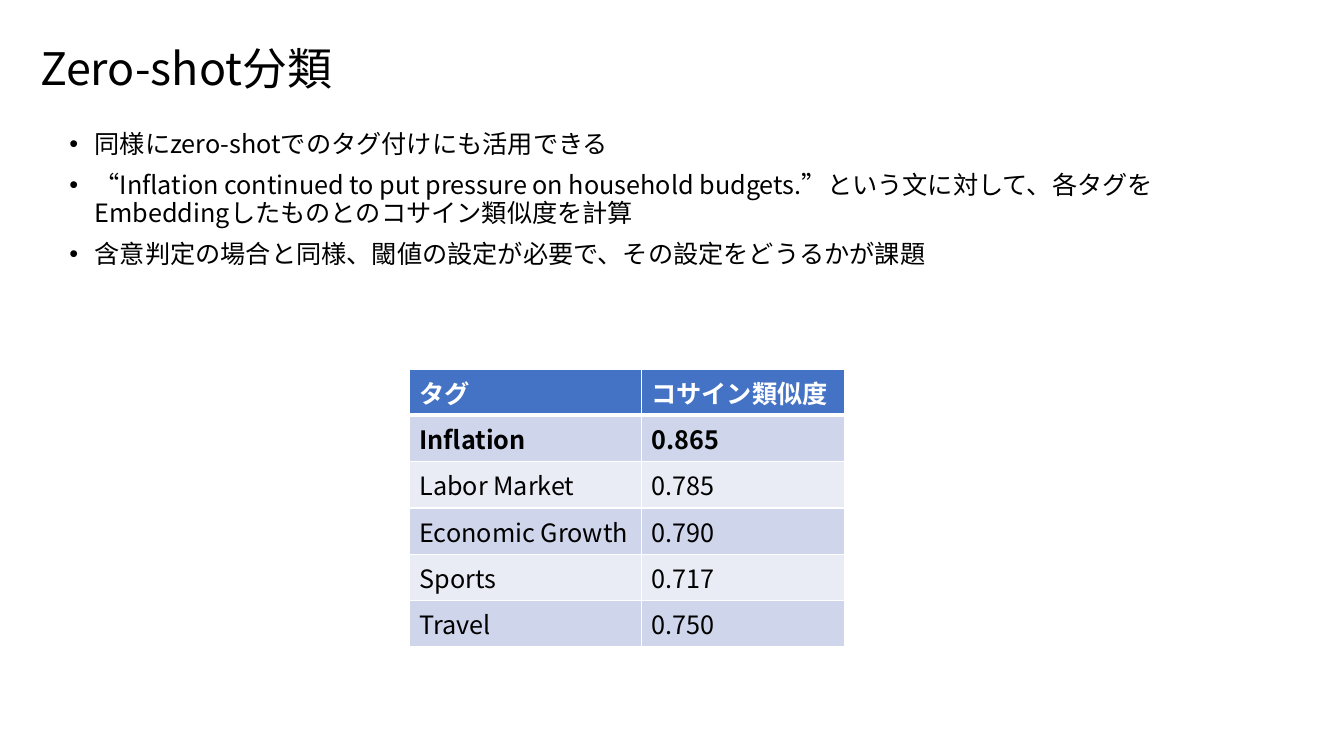
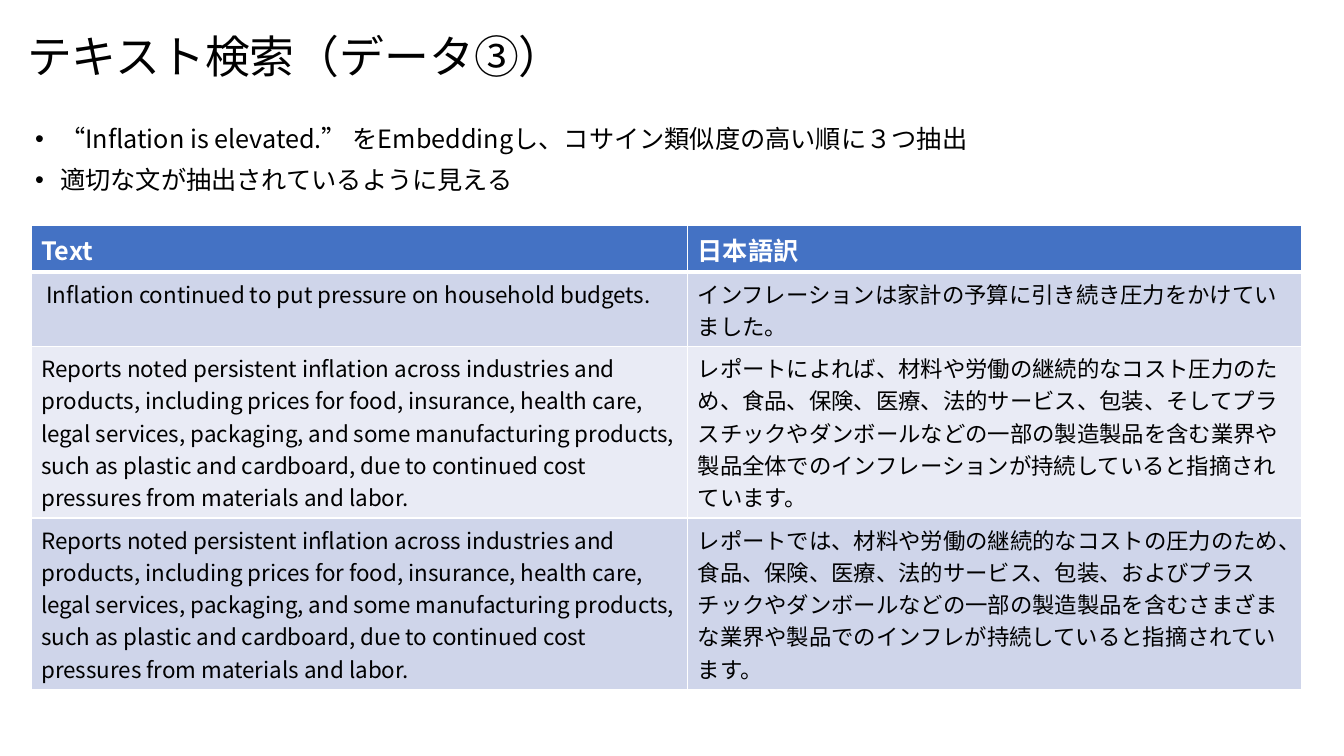
from dataclasses import dataclass
from itertools import groupby

from lxml import etree
from pptx import Presentation
from pptx.dml.color import RGBColor
from pptx.enum.text import MSO_ANCHOR
from pptx.oxml.ns import qn
from pptx.util import Emu, Pt

EMU_PER_PX = 9144
BLANK_LAYOUT = 6
MIDDLE = MSO_ANCHOR.MIDDLE
TOP = MSO_ANCHOR.TOP
QUOTES = "“”"


@dataclass(frozen=True)
class Theme:
    font: str = "Noto Sans CJK JP"
    bullet_font: str = "Arial"
    text: str = "000000"
    white: str = "FFFFFF"
    header: str = "4472C4"
    bands: tuple = ("CFD5EA", "E9EBF5")
    title_size: int = 32
    body_size: int = 18
    small_size: int = 16
    line_spacing: float = 0.9
    bullet_gap: int = 10
    bullet_indent: int = 25
    thin_border: int = 1
    thick_border: int = 3


THEME = Theme()
ROW_HEIGHT = 46

REPORT_TEXT = (
    "Reports noted persistent inflation across industries and products, "
    "including prices for food, insurance, health care, legal services, "
    "packaging, and some manufacturing products, such as plastic and "
    "cardboard, due to continued cost pressures from materials and labor."
)

SIMILARITY_ROWS = [
    ("タグ", "コサイン類似度"),
    ("Inflation", "0.865"),
    ("Labor Market", "0.785"),
    ("Economic Growth", "0.790"),
    ("Sports", "0.717"),
    ("Travel", "0.750"),
]

SEARCH_ROWS = [
    ("Text", "日本語訳"),
    (
        " Inflation continued to put pressure on household budgets.",
        "インフレーションは家計の予算に引き続き圧力をかけていました。",
    ),
    (
        REPORT_TEXT,
        "レポートによれば、材料や労働の継続的なコスト圧力のため、食品、保険、医療、"
        "法的サービス、包装、そしてプラスチックやダンボールなどの一部の製造製品を含む"
        "業界や製品全体でのインフレーションが持続していると指摘されています。",
    ),
    (
        REPORT_TEXT,
        "レポートでは、材料や労働の継続的なコストの圧力のため、食品、保険、医療、"
        "法的サービス、包装、およびプラスチックやダンボールなどの一部の製造製品を含む"
        "さまざまな業界や製品でのインフレが持続していると指摘されています。",
    ),
]


def px(length):
    return Emu(length * EMU_PER_PX)


def write_line(paragraph, text, size, color=THEME.text, bold=False):
    """Add styled runs; quotation marks get no East Asian font and stay narrow."""
    for is_quote, letters in groupby(text, key=lambda letter: letter in QUOTES):
        run = paragraph.add_run()
        run.text = "".join(letters)
        font = run.font
        font.name = THEME.font
        font.size = Pt(size)
        font.bold = bold
        font.color.rgb = RGBColor.from_string(color)
        if not is_quote:
            properties = run._r.get_or_add_rPr()
            etree.SubElement(properties, qn("a:ea"), typeface=THEME.font)


def add_text_box(slide, box, lines, size, anchor):
    shape = slide.shapes.add_textbox(*map(px, box))
    text_frame = shape.text_frame
    text_frame.word_wrap = True
    text_frame.vertical_anchor = anchor
    for index, line in enumerate(lines):
        paragraph = text_frame.add_paragraph() if index else text_frame.paragraphs[0]
        paragraph.line_spacing = THEME.line_spacing
        write_line(paragraph, line, size)
    return text_frame


def add_title(slide, box, title):
    add_text_box(slide, box, [title], THEME.title_size, MIDDLE)


def add_bullets(slide, box, lines):
    text_frame = add_text_box(slide, box, lines, THEME.body_size, TOP)
    indent = px(THEME.bullet_indent)
    for paragraph in text_frame.paragraphs:
        paragraph.space_before = Pt(THEME.bullet_gap)
        properties = paragraph._p.get_or_add_pPr()
        properties.set("marL", str(indent))
        properties.set("indent", str(-indent))
        etree.SubElement(properties, qn("a:buFont"), typeface=THEME.bullet_font)
        etree.SubElement(properties, qn("a:buChar"), char="•")


def set_borders(cell, top, bottom):
    """Draw white cell borders; top and bottom are widths in points."""
    properties = cell._tc.get_or_add_tcPr()
    widths = {"L": THEME.thin_border, "R": THEME.thin_border, "T": top, "B": bottom}
    for side, width in widths.items():
        line = etree.SubElement(properties, qn(f"a:ln{side}"), w=str(Pt(width)))
        fill = etree.SubElement(line, qn("a:solidFill"))
        etree.SubElement(fill, qn("a:srgbClr"), val=THEME.white)


def fill_cell(cell, text, row_index, size, bold):
    is_header = row_index == 0
    thin, thick = THEME.thin_border, THEME.thick_border
    set_borders(
        cell,
        top=thick if row_index == 1 else thin,
        bottom=thick if is_header else thin,
    )
    band = THEME.bands[(row_index - 1) % len(THEME.bands)]
    cell.fill.solid()
    cell.fill.fore_color.rgb = RGBColor.from_string(THEME.header if is_header else band)
    color = THEME.white if is_header else THEME.text
    write_line(cell.text_frame.paragraphs[0], text, size, color, bold)


def add_banded_table(slide, corner, widths, heights, rows, body_size, bold_rows):
    size = (sum(widths), sum(heights))
    frame = slide.shapes.add_table(
        len(heights), len(widths), *map(px, corner), *map(px, size)
    )
    table = frame.table
    table.horz_banding = False
    for column, width in zip(table.columns, widths):
        column.width = px(width)
    for row_index, (texts, height) in enumerate(zip(rows, heights)):
        table.rows[row_index].height = px(height)
        text_size = THEME.body_size if row_index == 0 else body_size
        for column_index, text in enumerate(texts):
            cell = table.cell(row_index, column_index)
            fill_cell(cell, text, row_index, text_size, row_index in bold_rows)


def add_blank_slide(presentation):
    return presentation.slides.add_slide(presentation.slide_layouts[BLANK_LAYOUT])


def add_classification_slide(presentation):
    slide = add_blank_slide(presentation)
    add_title(slide, (30, 20, 1150, 101), "Zero-shot分類")
    add_bullets(slide, (59, 126, 1150, 174), [
        "同様にzero-shotでのタグ付けにも活用できる",
        "“Inflation continued to put pressure on household budgets.”"
        "という文に対して、各タグをEmbeddingしたものとのコサイン類似度を計算",
        "含意判定の場合と同様、閾値の設定が必要で、その設定をどうるかが課題",
    ])
    add_banded_table(
        slide,
        corner=(406, 366),
        widths=(230, 202),
        heights=[ROW_HEIGHT] * len(SIMILARITY_ROWS),
        rows=SIMILARITY_ROWS,
        body_size=THEME.body_size,
        bold_rows=(0, 1),
    )


def add_search_slide(presentation):
    slide = add_blank_slide(presentation)
    add_title(slide, (17, 17, 1150, 82), "テキスト検索（データ③）")
    add_bullets(slide, (25, 121, 1272, 82), [
        "“Inflation is elevated.” をEmbeddingし、コサイン類似度の高い順に３つ抽出",
        "適切な文が抽出されているように見える",
    ])
    add_banded_table(
        slide,
        corner=(31, 224),
        widths=(651, 609),
        heights=[ROW_HEIGHT, 74, 170, 170],
        rows=SEARCH_ROWS,
        body_size=THEME.small_size,
        bold_rows=(0,),
    )


def main():
    presentation = Presentation()
    presentation.slide_width = px(1333)
    presentation.slide_height = px(750)
    add_classification_slide(presentation)
    add_search_slide(presentation)
    presentation.save("out.pptx")


if __name__ == "__main__":
    main()
